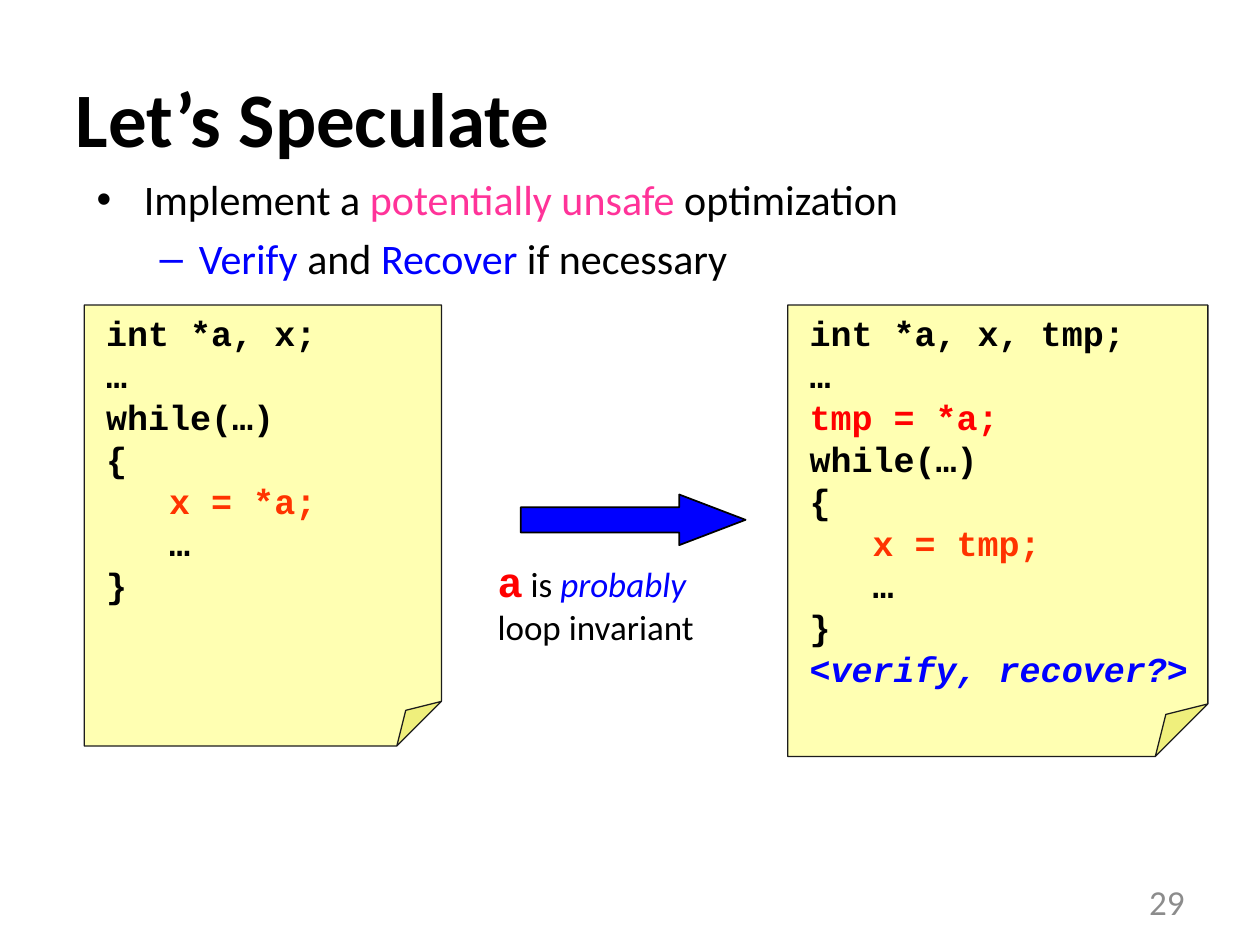
from dataclasses import dataclass
from typing import Optional

from lxml import etree
from pptx import Presentation
from pptx import util as u
from pptx.dml.color import RGBColor
from pptx.enum import shapes, text
from pptx.oxml import ns

BLACK = RGBColor(0x00, 0x00, 0x00)
PINK = RGBColor(0xFF, 0x33, 0x99)
BLUE = RGBColor(0x00, 0x00, 0xFF)
RED = RGBColor(0xFF, 0x00, 0x00)
ORANGE = RGBColor(0xFF, 0x33, 0x00)
YELLOW = RGBColor(0xFF, 0xFF, 0x00)
CHARCOAL = RGBColor(0x1C, 0x1C, 0x1C)
GRAY = RGBColor(0x8C, 0x8C, 0x8C)
BODY_FONT = "Calibri"
CODE_FONT = "Courier New"


@dataclass(frozen=True)
class Span:
    words: str
    color: RGBColor = BLACK
    size: float = 20
    font: str = BODY_FONT
    bold: bool = False
    italic: bool = False


@dataclass(frozen=True)
class Bullet:
    symbol: str
    margin: float
    hanging: float


@dataclass(frozen=True)
class Line:
    spans: list[Span]
    bullet: Optional[Bullet] = None
    before: float = 0
    spacing: Optional[float] = None
    align: text.PP_ALIGN = text.PP_ALIGN.LEFT


@dataclass(frozen=True)
class Note:
    left: float
    width: float
    height: float
    lines: list[Line]


def code(words: str, color: RGBColor = BLACK, italic: bool = False) -> Line:
    return Line([Span(words, color, font=CODE_FONT, bold=True, italic=italic)], spacing=24)


def write(frame, lines: list[Line]) -> None:
    for index, line in enumerate(lines):
        para = frame.paragraphs[0] if index == 0 else frame.add_paragraph()
        para.alignment = line.align
        para.space_before = u.Pt(line.before)
        if line.spacing:
            para.line_spacing = u.Pt(line.spacing)
        if line.bullet:
            props = para._p.get_or_add_pPr()
            props.set("marL", str(u.Cm(line.bullet.margin)))
            props.set("indent", str(-u.Cm(line.bullet.hanging)))
            etree.SubElement(props, ns.qn("a:buFont"), typeface="Arial")
            etree.SubElement(props, ns.qn("a:buChar"), char=line.bullet.symbol)
        for span in line.spans:
            run = para.add_run()
            run.text = span.words
            run.font.name = span.font
            run.font.size = u.Pt(span.size)
            run.font.bold = span.bold
            run.font.italic = span.italic
            run.font.color.rgb = span.color


def add_text(page, left: float, top: float, width: float, height: float,
             lines: list[Line], wrap: bool = True,
             anchor: text.MSO_ANCHOR = text.MSO_ANCHOR.TOP) -> None:
    box = page.shapes.add_textbox(u.Cm(left), u.Cm(top), u.Cm(width), u.Cm(height))
    box.text_frame.word_wrap = wrap
    box.text_frame.vertical_anchor = anchor
    write(box.text_frame, lines)


def add_shape(page, kind: shapes.MSO_SHAPE, left: float, top: float, width: float,
              height: float, fill: RGBColor, line: RGBColor, weight: float):
    shape = page.shapes.add_shape(kind, u.Cm(left), u.Cm(top), u.Cm(width), u.Cm(height))
    shape.shadow.inherit = False
    shape.fill.solid()
    shape.fill.fore_color.rgb = fill
    shape.line.color.rgb = line
    shape.line.width = u.Pt(weight)
    return shape


def add_note(page, note: Note) -> None:
    top, inset = 6.15, 0.19
    paper = add_shape(page, shapes.MSO_SHAPE.FOLDED_CORNER, note.left, top,
                      note.width, note.height, YELLOW, CHARCOAL, 0.75)
    props = paper._element.spPr
    guides = props.find(ns.qn("a:prstGeom")).get_or_add_avLst()
    etree.SubElement(guides, ns.qn("a:gd"), name="adj", fmla="val 12500")
    tint = props.find(ns.qn("a:solidFill")).find(ns.qn("a:srgbClr"))
    etree.SubElement(tint, ns.qn("a:alpha"), val="30000")
    add_text(page, note.left + inset, top, note.width - inset, note.height - 1.1, note.lines)


def main() -> None:
    deck = Presentation()
    deck.slide_width, deck.slide_height = u.Cm(25.4), u.Cm(19.05)
    page = deck.slides.add_slide(deck.slide_layouts[5])

    title = page.shapes.title
    title.left, title.top = u.Cm(1.27), u.Cm(0.76)
    title.width, title.height = u.Cm(22.86), u.Cm(3.18)
    title.text_frame.vertical_anchor = text.MSO_ANCHOR.MIDDLE
    write(title.text_frame, [Line([Span("Let’s Speculate", size=44, bold=True)])])

    add_text(page, 1.7, 3.38, 22.86, 12.57, [
        Line([Span("Implement a ", size=24), Span("potentially unsafe", PINK, 24),
              Span(" optimization", size=24)], Bullet("•", 0.95, 0.95)),
        Line([Span("Verify", BLUE, 24), Span(" and ", size=24),
              Span("Recover", BLUE, 24), Span(" if necessary", size=24)],
             Bullet("–", 2.06, 0.79), before=4.8),
    ])

    notes = [
        Note(1.7, 7.2, 8.89, [
            code("int *a, x;"), code("…"), code("while(…)"), code("{"),
            code("   x = *a;", ORANGE), code("   …"), code("}")]),
        Note(15.88, 8.47, 9.1, [
            code("int *a, x, tmp;"), code("…"), code("tmp = *a;", RED),
            code("while(…)"), code("{"), code("   x = tmp;", ORANGE),
            code("   …"), code("}"), code("<verify, recover?>", BLUE, True)]),
    ]
    for note in notes:
        add_note(page, note)

    arrow = add_shape(page, shapes.MSO_SHAPE.RIGHT_ARROW, 10.5, 9.97, 4.53, 1.02,
                      BLUE, BLACK, 1)
    arrow.adjustments[0] = 0.5
    arrow.adjustments[1] = 1.31
    add_text(page, 9.78, 11.07, 4.52, 2.13, [
        Line([Span("a", RED, 24, CODE_FONT, bold=True), Span(" is "),
              Span("probably", BLUE, italic=True)]),
        Line([Span("loop invariant")]),
    ], wrap=False)

    add_text(page, 18.2, 17.66, 5.93, 1.01,
             [Line([Span("29", GRAY)], align=text.PP_ALIGN.RIGHT)],
             anchor=text.MSO_ANCHOR.MIDDLE)

    deck.save("out.pptx")


if __name__ == "__main__":
    main()
